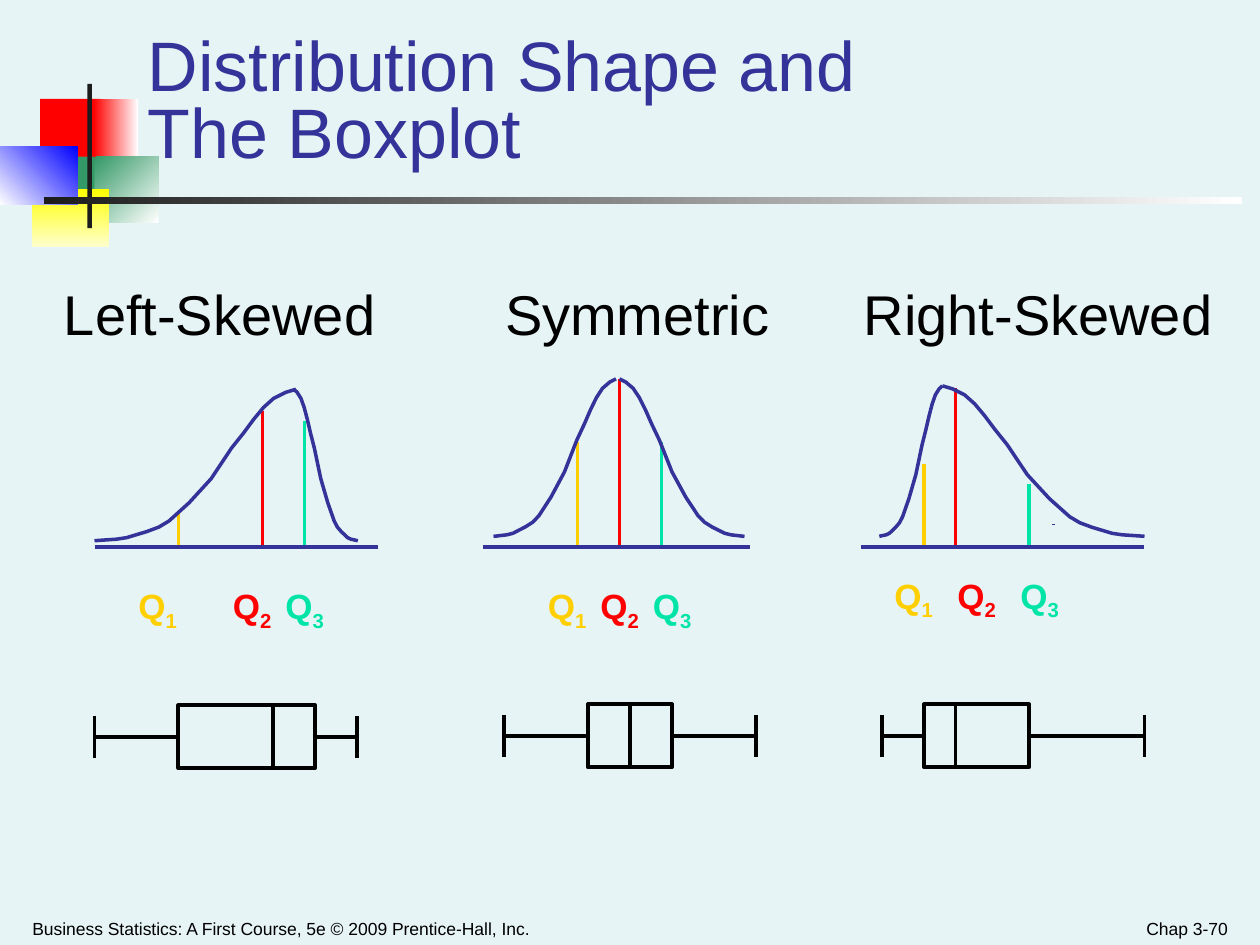
from lxml import etree
from pptx import Presentation
from pptx import util as u
from pptx.dml.color import RGBColor
from pptx.enum import shapes, text
from pptx.oxml.ns import qn

Pt = u.Pt
INDIGO, BLACK, CHARCOAL = "333399", "000000", "1C1C1C"
QUARTILE_COLORS = ("FFCF01", "FF0000", "00E4A8")

# One flank of a bell curve, from tail to peak: (share of width, share of height)
FLANK = ((0, 0), (.11, .01), (.16, .02), (.21, .04), (.26, .06), (.32, .09),
         (.37, .13), (.47, .25), (.58, .41), (.68, .61), (.74, .71),
         (.79, .8), (.84, .88), (.89, .94), (.95, .98), (1, 1))

# x values are offsets from the panel's left edge, y values from its top edge
PANELS = (
    dict(name="Left-Skewed", box=(54, 156, 162), title=(-24.5, 194),
         tails=(0, 150.5), peaks=(115, 114), heights=(153, 66.5),
         quartiles=((48, 138), (96, 79), (120, 84.5)),
         labels=(18, 72, 102), label_top=174.5,
         five_numbers=(0, 48, 102, 126, 150), plot_middle=265),
    dict(name="Symmetric", box=(276, 156, 152.5), title=(5.5, 167),
         tails=(6, 149.5), peaks=(76, 78), heights=(150.5, 60.5),
         quartiles=((54, 96.5), (78, 60.5), (102, 96.5)),
         labels=(30, 60, 90), label_top=174.5,
         five_numbers=(12, 60, 84, 108, 156), plot_middle=264.5),
    dict(name="Right-Skewed", box=(492, 156, 162), title=(-5.5, 215),
         tails=(10.5, 162), peaks=(46.5, 46.5), heights=(150.5, 64.5),
         quartiles=((36, 109), (54, 65.5), (96, 120.5)),
         labels=(12, 48, 84), label_top=168.5,
         five_numbers=(12, 36, 54, 96, 162), plot_middle=264.5),
)


def color(value):
    return RGBColor.from_string(value)


def style_span(span, size, shade, bold=False):
    span.font.name = "Arial"
    span.font.size = Pt(size)
    span.font.bold = bold
    span.font.color.rgb = color(shade)


def add_text(page, box, content, size, shade, align=text.PP_ALIGN.LEFT,
             anchor=text.MSO_ANCHOR.TOP, wrap=True, inset=7.2):
    frame = page.shapes.add_textbox(*map(Pt, box)).text_frame
    frame.word_wrap = wrap
    if not wrap:
        frame.auto_size = text.MSO_AUTO_SIZE.SHAPE_TO_FIT_TEXT
    frame.vertical_anchor = anchor
    frame.margin_left = frame.margin_right = Pt(inset)
    frame.margin_top = frame.margin_bottom = Pt(3.6)
    frame.text = content
    para = frame.paragraphs[0]
    para.alignment = align
    for span in para.runs:
        style_span(span, size, shade)
    return para


def add_line(page, start, end, shade, width):
    line = page.shapes.add_connector(
        shapes.MSO_CONNECTOR.STRAIGHT, *map(Pt, (*start, *end)))
    line.line.color.rgb = color(shade)
    line.line.width = Pt(width)
    etree.SubElement(line._element.spPr, qn("a:effectLst"))
    return line


def add_rectangle(page, box):
    block = page.shapes.add_shape(shapes.MSO_SHAPE.RECTANGLE, *map(Pt, box))
    block.shadow.inherit = False
    return block


def add_block(page, box, shades, angle=0):
    """Borderless block; two shades make a gradient, angle is clockwise."""
    block = add_rectangle(page, box)
    block.line.fill.background()
    if len(shades) == 1:
        block.fill.solid()
        block.fill.fore_color.rgb = color(shades[0])
        return
    block.fill.gradient()
    block.fill.gradient_angle = (360 - angle) % 360
    for stop, shade in zip(block.fill.gradient_stops, shades):
        stop.color.rgb = color(shade)


def add_ornament(page, box):
    left, top = box
    for x, y, width, height, shades, angle in (
            (23, 8.5, 34.5, 37.5, ["FF0000"], 0),
            (53.5, 8.5, 25.5, 37.5, ["FF0000", "FFFFFF"], 0),
            (54, 41.5, 36.5, 37.5, ["339966", "FFFFFF"], 45),
            (31, 41.5, 23, 37.5, ["339966"], 0),
            (18.5, 60, 44, 33, ["FFFF00", "FFFFCC"], 90),
            (0, 35.5, 44.5, 33.5, ["FFFFFF", "0000FF"], 315),
            (50, 0, 2.5, 82.5, [CHARCOAL], 0),
            (25, 64.5, 684.5, 4, [CHARCOAL, "FFFFFF"], 0)):
        add_block(page, (left + x, top + y, width, height), shades, angle)


def add_heading(page, box):
    para = add_text(page, box, "Distribution Shape and\vThe Boxplot", 40,
                    INDIGO, anchor=text.MSO_ANCHOR.BOTTOM, inset=6.5)
    para.line_spacing = 0.8


def add_footer(page, box):
    left, top, width, height = box
    bottom = text.MSO_ANCHOR.BOTTOM
    add_text(page, (left, top, 366, height),
             "Business Statistics: A First Course, 5e © 2009 Prentice-Hall, Inc.",
             10, BLACK, anchor=bottom, inset=6.5)
    add_text(page, (left + width - 168, top, 168, height), "Chap 3-70", 10,
             BLACK, text.PP_ALIGN.RIGHT, bottom, inset=6.5)


def add_flank(page, tail, peak):
    (x0, y0), (x1, y1) = tail, peak
    points = [(Pt(x0 + (x1 - x0) * across), Pt(y0 + (y1 - y0) * up))
              for across, up in FLANK]
    builder = page.shapes.build_freeform(*points[0])
    builder.add_line_segments(points[1:], close=False)
    curve = builder.convert_to_shape()
    curve.shadow.inherit = False
    curve.fill.background()
    curve.line.color.rgb = color(INDIGO)
    curve.line.width = Pt(2)


def add_curve(page, box, panel):
    left, top, width = box
    axis = top + 156.5
    for (x, y), shade in zip(panel["quartiles"], QUARTILE_COLORS):
        add_line(page, (left + x, top + y), (left + x, axis), shade, 2)
    foot, summit = panel["heights"]
    for tail, peak in zip(panel["tails"], panel["peaks"]):
        add_flank(page, (left + tail, top + foot), (left + peak, top + summit))
    add_line(page, (left, axis), (left + width, axis), INDIGO, 2.25)


def add_quartile_labels(page, box, panel):
    left, top, _ = box
    for number, (x, shade) in enumerate(
            zip(panel["labels"], QUARTILE_COLORS), 1):
        para = add_text(page, (left + x, top + panel["label_top"], 48, 34.5),
                        "Q", 20, shade)
        index = para.add_run()
        index.text = str(number)
        for span in para.runs:
            style_span(span, 20, shade, bold=True)
        index.font._element.set("baseline", "-25000")


def add_boxplot(page, box, panel):
    left, top, _ = box
    middle = top + panel["plot_middle"]
    low, q1, median, q3, high = (left + x for x in panel["five_numbers"])
    body = add_rectangle(page, (q1, middle - 18, q3 - q1, 36))
    body.fill.background()
    body.line.color.rgb = color(BLACK)
    body.line.width = Pt(2.25)
    # Median bar and whisker ends
    for x, reach in ((median, 18), (low, 12), (high, 12)):
        add_line(page, (x, middle - reach), (x, middle + reach), BLACK, 2.25)
    # Whiskers, joined to the left and right sides of the body
    for end, edge, side in ((low, q1, 1), (high, q3, 3)):
        whisker = add_line(page, (end, middle), (edge, middle), BLACK, 2.25)
        whisker.end_connect(body, side)


def add_panel(page, box, panel):
    left, top, _ = box
    offset, width = panel["title"]
    add_text(page, (left + offset, top, width, 45.5), panel["name"], 32,
             BLACK, wrap=False)
    add_curve(page, box, panel)
    add_quartile_labels(page, box, panel)
    add_boxplot(page, box, panel)


def main():
    deck = Presentation()
    deck.slide_width, deck.slide_height = Pt(720), Pt(540)
    page = deck.slides.add_slide(deck.slide_layouts[6])
    page.background.fill.solid()
    page.background.fill.fore_color.rgb = color("E7F4F5")
    add_ornament(page, (0, 48))
    add_footer(page, (12, 515, 696, 25))
    add_heading(page, (78, 42, 613.5, 60))
    for panel in PANELS:
        add_panel(page, panel["box"], panel)
    # Small tick beside the right-skewed tail
    add_line(page, (602, 299.5), (602, 300), INDIGO, 2)
    deck.save("out.pptx")


if __name__ == "__main__":
    main()
